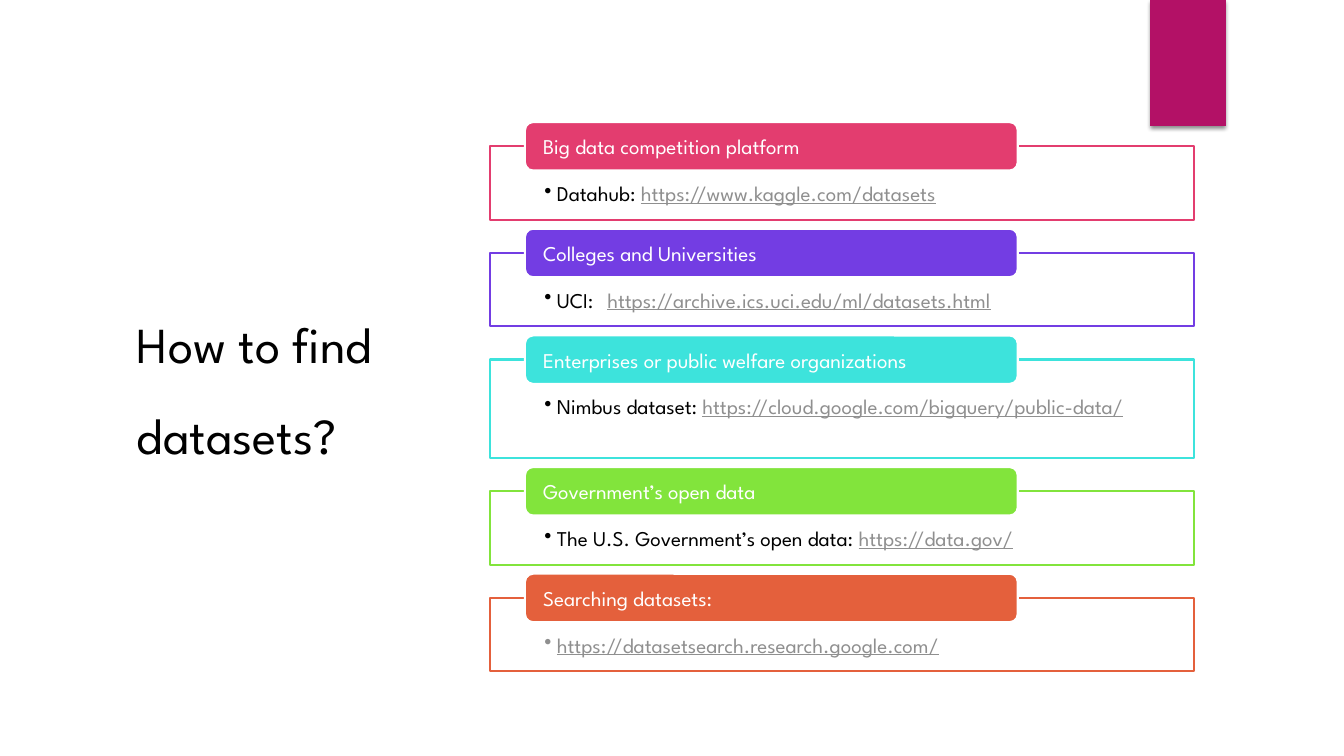
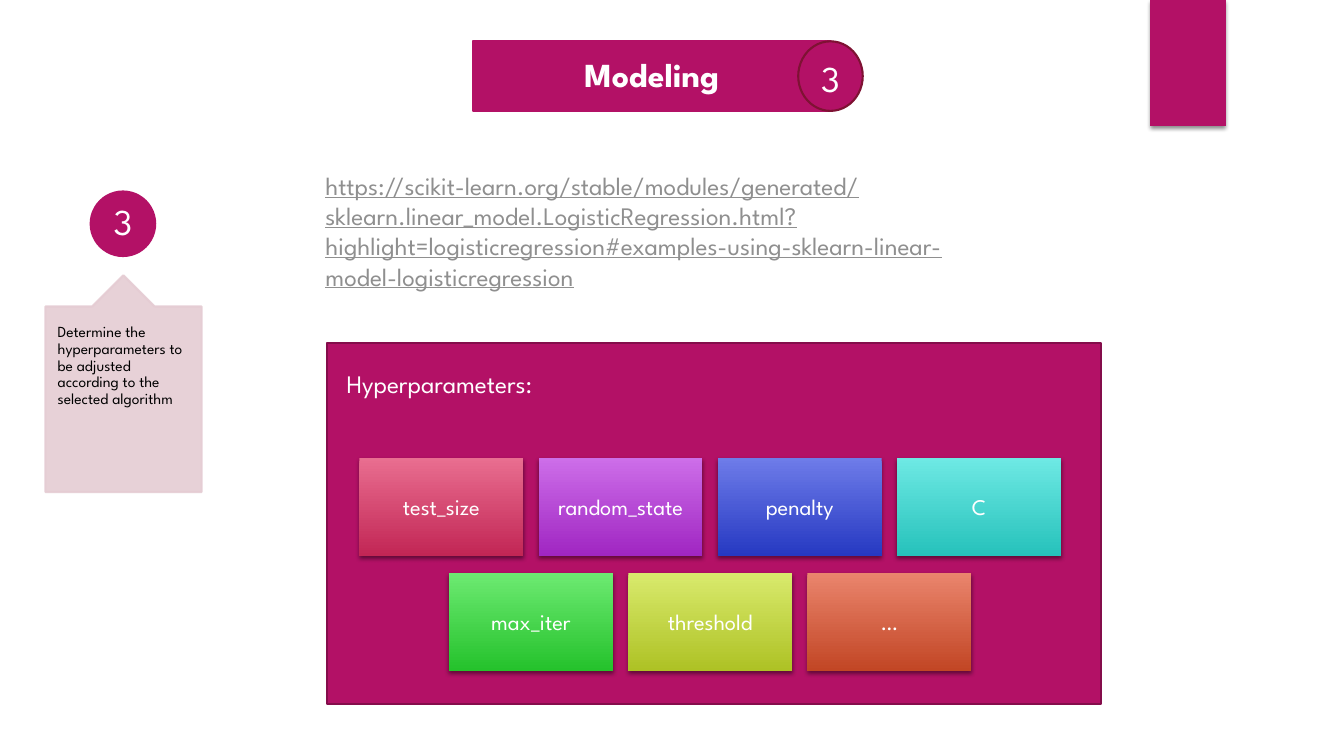
import pptx
import pptx.dml.color
import pptx.enum.shapes
import pptx.enum.text
import pptx.oxml.ns
import pptx.util
from lxml import etree

Pt = pptx.util.Pt
Kind = pptx.enum.shapes.MSO_SHAPE
Align = pptx.enum.text.PP_ALIGN
Anchor = pptx.enum.text.MSO_ANCHOR
qn = pptx.oxml.ns.qn

FONT = "League Spartan"
COLORS = {
    "accent": "B31166", "panel_edge": "840D4B", "badge_edge": "7E1233",
    "callout": "E5CCD3", "white": "FFFFFF", "black": "000000", "link": "8F8F8F",
    "pink": "E33D6F", "violet": "733DE3", "cyan": "3DE3DC",
    "green": "82E43C", "orange": "E4603C",
}
SOURCES = [
    ("pink", 52.6, "Big data competition platform", "Datahub: ",
     "https://www.kaggle.com/datasets"),
    ("violet", 52.6, "Colleges and Universities", "UCI:\t",
     "https://archive.ics.uci.edu/ml/datasets.html"),
    ("cyan", 70.4, "Enterprises or public welfare organizations", "Nimbus dataset: ",
     "https://cloud.google.com/bigquery/public-data/"),
    ("green", 52.6, "Government’s open data", "The U.S. Government’s open data: ",
     "https://data.gov/"),
    ("orange", 52.6, "Searching datasets:", "",
     "https://datasetsearch.research.google.com/"),
]
TILE_ROWS = [
    [("test_size", "E96E90", "C22655"), ("random_state", "CD6EE9", "A026C2"),
     ("penalty", "6E7CE9", "2639C2"), ("C", "6EE9E4", "26C2BB")],
    [("max_iter", "6DEA72", "25C22C"), ("threshold", "D9EA6D", "AEC225"),
     ("…", "EA856D", "C24625")],
]
DOC_LINK = ("https://scikit-learn.org/stable/modules/generated/"
            "sklearn.linear_model.LogisticRegression.html"
            "?highlight=logisticregression"
            "#examples-using-sklearn-linear-model-logisticregression")


def rgb(color):
    return pptx.dml.color.RGBColor.from_string(COLORS.get(color, color))


def add_node(parent, tag, **attributes):
    return etree.SubElement(parent, qn(tag), {k: str(v) for k, v in attributes.items()})


class Deck:
    def __init__(self):
        self.deck = pptx.Presentation()
        self.deck.slide_width, self.deck.slide_height = Pt(960), Pt(540)
        self.page = None

    def add_page(self):
        """Start a blank slide with the corner ribbon."""
        self.page = self.deck.slides.add_slide(self.deck.slide_layouts[6])
        self.add_shadow(self.add_block((821.6, 0, 54, 90), "accent"))

    def add_block(self, place, fill, line=None, kind=Kind.RECTANGLE):
        """Add a preset shape; a pair of colours as fill gives a gradient."""
        shape = self.page.shapes.add_shape(kind, *map(Pt, place))
        shape.shadow.inherit = False
        if isinstance(fill, tuple):
            shape.fill.gradient()
            shape.fill.gradient_angle = 270
            for stop, color in zip(shape.fill.gradient_stops, fill):
                stop.color.rgb = rgb(color)
        else:
            shape.fill.solid()
            shape.fill.fore_color.rgb = rgb(fill)
        if line:
            shape.line.color.rgb = rgb(line)
            shape.line.width = Pt(1.5)
        else:
            shape.line.fill.background()
        return shape

    def add_shadow(self, shape):
        effects = shape._element.spPr.find(qn("a:effectLst"))
        shadow = add_node(effects, "a:outerShdw", blurRad=Pt(3), dist=Pt(2),
                          dir=5400000, rotWithShape=0)
        color = add_node(shadow, "a:srgbClr", val=COLORS["black"])
        add_node(color, "a:alpha", val=45000)

    def fade(self, shape):
        """Make the solid colours of a shape 90 % opaque."""
        for color in shape._element.spPr.iter(qn("a:srgbClr")):
            add_node(color, "a:alpha", val=90000)

    def set_text(self, shape, spans, size, insets=(7.2, 3.6, 7.2, 3.6), bold=False,
                 align=Align.LEFT, anchor=Anchor.MIDDLE, spacing=1.0):
        """Fill a shape with one paragraph of (text, colour) spans."""
        frame = shape.text_frame
        sides = zip(("left", "top", "right", "bottom"), insets)
        layout = {f"margin_{side}": Pt(inset) for side, inset in sides}
        layout.update(word_wrap=True, vertical_anchor=anchor)
        for name, value in layout.items():
            setattr(frame, name, value)
        para = frame.paragraphs[0]
        para.alignment, para.line_spacing = align, spacing
        for text, color in spans:
            span = para.add_run()
            span.text = text
            style = {"name": FONT, "size": Pt(size), "bold": bold,
                     "underline": color == "link"}
            for name, value in style.items():
                setattr(span.font, name, value)
            span.font.color.rgb = rgb(color)
        return para

    def add_text(self, place, text, color, size, **layout):
        box = self.page.shapes.add_textbox(*map(Pt, place))
        self.set_text(box, [(text, color)], size, **layout)

    def add_source(self, top, color, height, heading, label, link):
        """Add an outlined box with a bulleted link and a heading tab over its edge."""
        box = self.add_block((350, top, 503, height), "white", color)
        spans = [(label, "black")] if label else []
        para = self.set_text(box, spans + [(link, "link")], 15,
                             insets=(38.8, 24.6, 38.8, 8.6), anchor=Anchor.TOP)
        properties = para._p.get_or_add_pPr()
        properties.set("marL", str(Pt(9)))
        properties.set("indent", str(Pt(-9)))
        add_node(properties, "a:buChar", char="•")
        if "\t" in label:
            tabs = add_node(properties, "a:tabLst")
            add_node(tabs, "a:tab", pos=Pt(45), algn="l")
        tab = self.add_block((375, top - 17.2, 352, 34.6), color, "white",
                             Kind.ROUNDED_RECTANGLE)
        self.set_text(tab, [(heading, "white")], 15, insets=(11.3, 0, 11.3, 0))

    def add_badge(self, place, number, line, insets):
        badge = self.add_block(place, "accent", line, Kind.OVAL)
        self.set_text(badge, [(number, "white")], 26, insets, align=Align.CENTER,
                      spacing=0.9)

    def add_callout(self, place, text):
        callout = self.add_block(place, "callout", "callout", Kind.UP_ARROW_CALLOUT)
        for index, value in enumerate((0.5, 0.2, 0.2, 1)):
            callout.adjustments[index] = value
        self.fade(callout)
        self.set_text(callout, [(text, "black")], 11, insets=(8.8, 12.8, 8.8, 12.8),
                      anchor=Anchor.TOP, spacing=0.9)

    def add_tiles(self, rows, center, top, width=117, height=70, gap=11, row_gap=12):
        """Lay out rows of gradient tiles, each row centred."""
        for row_index, row in enumerate(rows):
            left = center - (len(row) * (width + gap) - gap) / 2
            for index, (text, light, dark) in enumerate(row):
                place = (left + index * (width + gap),
                         top + row_index * (height + row_gap), width, height)
                tile = self.add_block(place, (light, dark))
                self.add_shadow(tile)
                self.set_text(tile, [(text, "white")], 16, insets=(5, 5, 5, 5),
                              align=Align.CENTER)


def build_sources(deck):
    deck.add_page()
    deck.add_text((90.7, 76.3, 192.2, 381), "How to find datasets?", "black", 36,
                  spacing=1.5)
    top = 104.4
    for color, height, heading, label, link in SOURCES:
        deck.add_source(top, color, height, heading, label, link)
        top += height + 23.6


def build_modeling(deck):
    deck.add_page()
    deck.add_block((233.3, 244.8, 553, 257.8), "accent", "panel_edge")
    banner = deck.add_block((337.7, 29.5, 255.6, 49.7), "accent", "accent")
    deck.set_text(banner, [("Modeling", "white")], 24, bold=True, align=Align.CENTER,
                  spacing=0.9)
    deck.add_badge((570.2, 29.5, 46.1, 49.7), "3", "badge_edge", (2, 7, 2, 0))
    deck.add_badge((64.8, 136.8, 46.1, 46.1), "3", "accent", (2, 2, 2, 2))
    deck.add_callout((32.4, 196.6, 111.6, 154.8),
                     "Determine the hyperparameters to be adjusted "
                     "according to the selected algorithm")
    deck.add_text((225.4, 118.1, 480.2, 138.2), DOC_LINK, "link", 18, anchor=Anchor.TOP)
    deck.add_tiles(TILE_ROWS, center=507.3, top=327)
    deck.add_text((240.5, 259.2, 480.2, 28.8), "Hyperparameters:", "white", 18,
                  anchor=Anchor.TOP)


def main():
    deck = Deck()
    build_sources(deck)
    build_modeling(deck)
    deck.deck.save("out.pptx")


if __name__ == "__main__":
    main()
